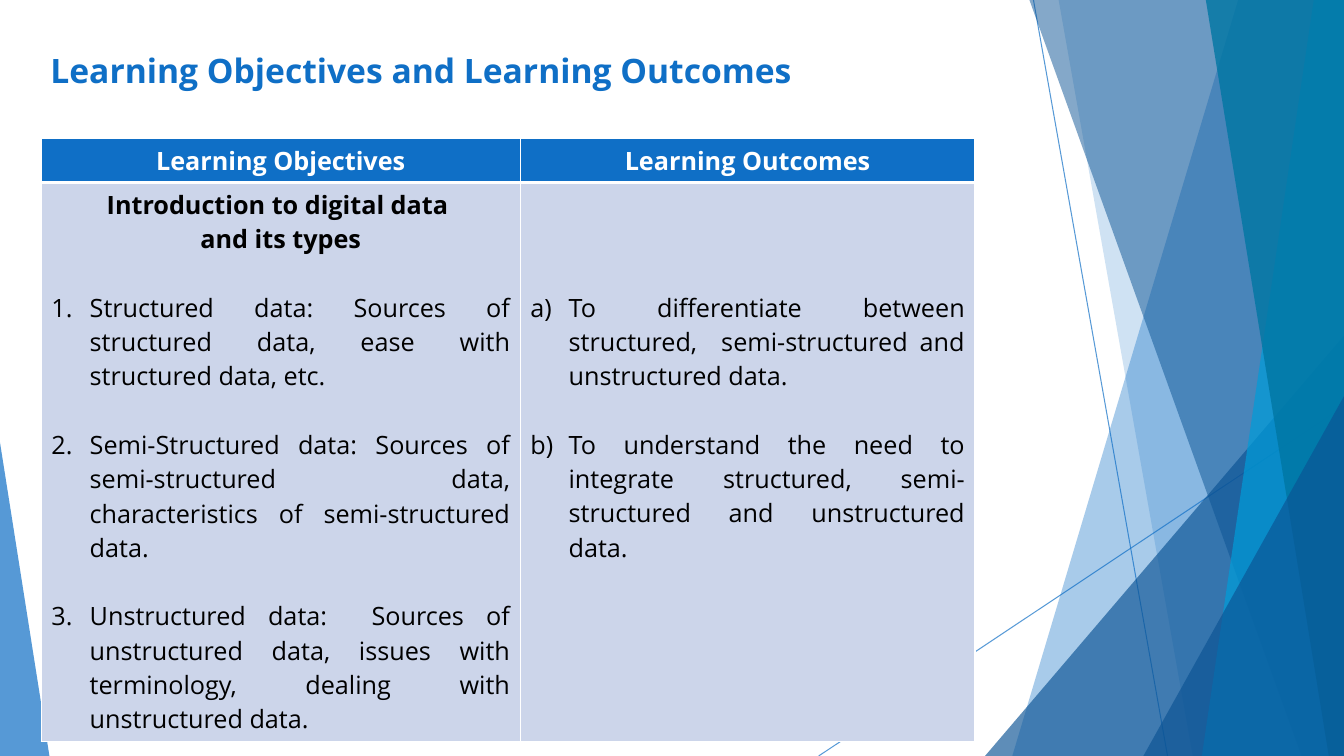
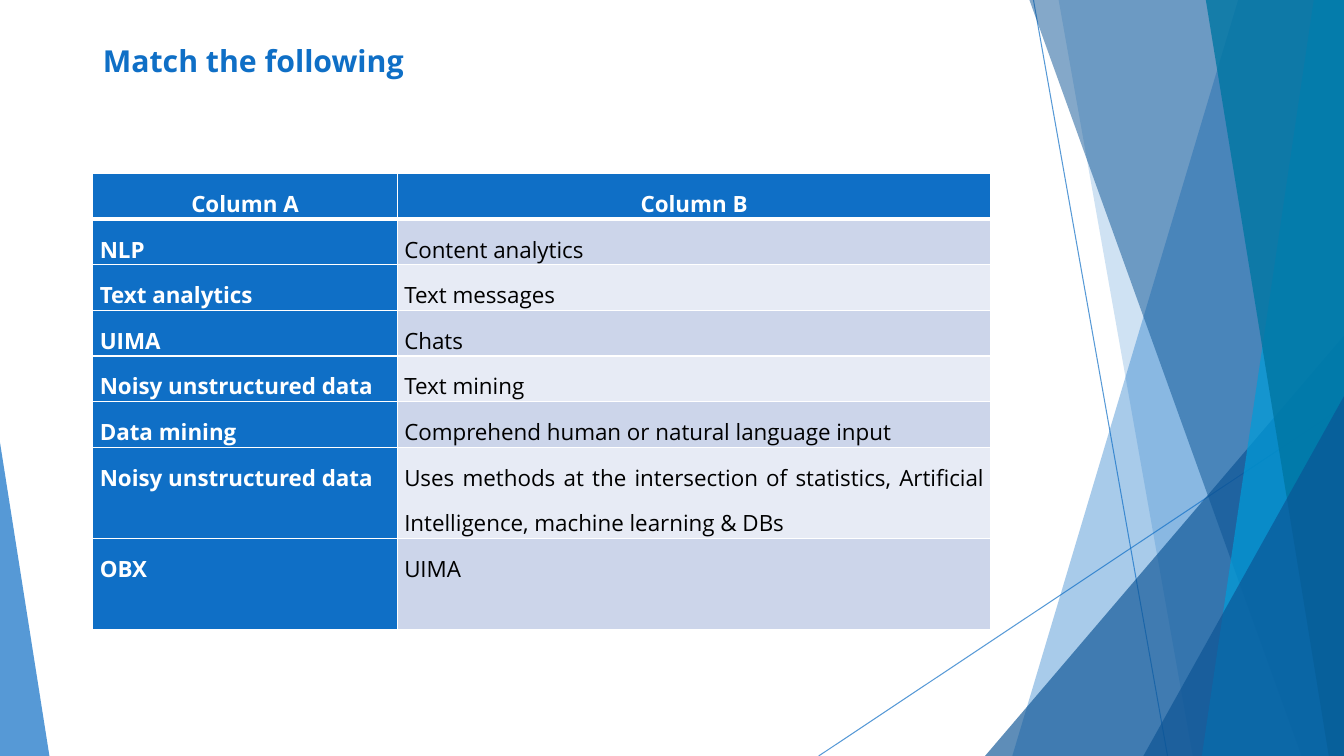
from lxml import etree
from pptx import Presentation
from pptx.dml.color import RGBColor
from pptx.enum.shapes import MSO_CONNECTOR, MSO_SHAPE
from pptx.enum.text import MSO_ANCHOR, MSO_AUTO_SIZE, PP_ALIGN
from pptx.oxml.ns import qn
from pptx.util import Inches, Pt

LEFT, CENTER, JUSTIFY = PP_ALIGN.LEFT, PP_ALIGN.CENTER, PP_ALIGN.JUSTIFY
TRIANGLE = MSO_SHAPE.ISOSCELES_TRIANGLE
STRAIGHT = MSO_CONNECTOR.STRAIGHT
MIDDLE = MSO_ANCHOR.MIDDLE
FONT = "Open Sans"
WIDTH, HEIGHT = 13.33, 7.5
COLOURS = {
    "blue": "0F6FC6", "navy": "0B5394", "sky": "009DD9", "teal": "0076A3",
    "band": "CCD5EA", "pale": "E7EBF5", "white": "FFFFFF", "black": "000000",
}


def write(para, text, size=18, colour="black", bold=False, align=JUSTIFY,
          spacing=None, before=0, number=None):
    para.alignment = align
    para.space_before = Pt(before)
    if spacing:
        para.line_spacing = spacing
    if number:
        settings = para._p.get_or_add_pPr()
        settings.set("marL", str(Inches(0.38)))
        settings.set("indent", str(-Inches(0.38)))
        etree.SubElement(settings, qn("a:buFont"), typeface="+mj-lt")
        etree.SubElement(settings, qn("a:buAutoNum"), type=number)
    span = para.add_run()
    span.text = text
    span.font.name = FONT
    span.font.size = Pt(size)
    span.font.bold = bold
    span.font.color.rgb = RGBColor.from_string(COLOURS[colour])


def tint(shape, fill, colour, opacity):
    fill.solid()
    fill.fore_color.rgb = RGBColor.from_string(COLOURS[colour])
    for tone in shape.element.iter(qn("a:srgbClr")):
        etree.SubElement(tone, qn("a:alpha"), val=str(opacity * 1000))


deck = Presentation()
deck.slide_width, deck.slide_height = Inches(WIDTH), Inches(HEIGHT)
layout = deck.slide_layouts[5]
for holder in list(layout.placeholders)[1:]:
    holder.element.getparent().remove(holder.element)
pages = [deck.slides.add_slide(layout) for _ in range(2)]

canvas = pages[0].shapes
backdrop = []
for ends in [(10.25, 0, 11.58, HEIGHT), (WIDTH, 4.03, 8.12, HEIGHT)]:
    ray = canvas.add_connector(STRAIGHT, *map(Inches, ends))
    ray.line.width = Pt(0.75)
    tint(ray, ray.line.fill, "blue", 70)
    etree.SubElement(ray.element.spPr, qn("a:effectLst"))
    backdrop.append(ray)

facets = [
    ("band", 12.28, 10.04, "blue", 36),
    ("band", 10.5, 11.83, "blue", 20),
    ("right peak", 3.56, 4.17, "navy", 66),
    ("band", 10.21, 12.91, "navy", 50),
    ("band", 13.03, 11.92, "sky", 70),
    ("band", 11.96, 13.18, "teal", 80),
    ("right peak", 1.99, 3.57, "navy", 66),
    ("left peak", 0.49, 3.11, "blue", 70),
]
for kind, first, second, colour, opacity in facets:
    if kind == "band":
        outline = canvas.build_freeform(Inches(first), 0)
        corners = [(WIDTH, 0), (WIDTH, HEIGHT), (second, HEIGHT)]
        outline.add_line_segments([(Inches(x), Inches(y)) for x, y in corners])
        facet = outline.convert_to_shape()
    else:
        on_right = kind == "right peak"
        left = WIDTH - first if on_right else 0
        facet = canvas.add_shape(TRIANGLE, Inches(left), Inches(HEIGHT - second),
                                 Inches(first), Inches(second))
        facet.adjustments[0] = 1 if on_right else 0
    tint(facet, facet.fill, colour, opacity)
    facet.line.fill.background()
    facet.shadow.inherit = False
    backdrop.append(facet)
for piece in backdrop:
    layout.shapes.element.append(piece.element)

heading = {"align": CENTER, "bold": True}
objective = {"number": "arabicPeriod", "before": 24.5}
outcome = {"number": "alphaLcParenR"}
objectives = [
    ("Introduction to digital data ", heading),
    ("and its types", heading),
    ("Structured data: Sources of structured data, ease with structured data, etc.",
     objective),
    ("Semi-Structured data: Sources of semi-structured data, characteristics of "
     "semi-structured data.", objective),
    ("Unstructured data:  Sources of unstructured data, issues with terminology, "
     "dealing with unstructured data.", objective),
]
outcomes = [
    ("To differentiate between structured,  semi-structured and unstructured data.",
     outcome),
    ("To understand the need to integrate structured, semi-structured and "
     "unstructured data.", {**outcome, "before": 24.5}),
]
pairs = [
    ("NLP", "Content analytics"),
    ("Text analytics", "Text messages"),
    ("UIMA", "Chats"),
    ("Noisy unstructured data", "Text mining"),
    ("Data mining", "Comprehend human or natural language input"),
    ("Noisy unstructured data", "Uses methods at the intersection of statistics, "
     "Artificial Intelligence, machine learning & DBs"),
    ("OBX", "UIMA"),
]
label = {"size": 16, "spacing": 1.5, "colour": "white", "bold": True}
answer = {"size": 16, "spacing": 1.5}
header = {"colour": "white", "bold": True, "align": CENTER}

topics = [
    {"title": "Learning Objectives and Learning Outcomes", "size": 24,
     "place": (0.4, 0.44, 11.5, 0.51), "corner": (0.41, 1.37),
     "columns": [4.75, 4.51], "rows": [0.43, 5.54], "margins": (0.1, 0.05),
     "labelled": False,
     "cells": [[[("Learning Objectives", header)], [("Learning Outcomes", header)]],
               [objectives, outcomes]]},
    {"title": "Match the following", "size": 21.6,
     "place": (0.92, 0.4, 11.5, 0.4), "corner": (0.92, 1.72),
     "columns": [3.02, 5.89], "rows": [0.45] * 6 + [0.9] * 2, "margins": (0.07, 0),
     "labelled": True,
     "cells": [[[(name, {**label, "align": CENTER})] for name in ("Column A", "Column B")]]
     + [[[(term, label)], [(match, answer)]] for term, match in pairs]},
]

for page, topic in zip(pages, topics):
    title = page.shapes.title
    title.left, title.top, title.width, title.height = map(Inches, topic["place"])
    title.text_frame.auto_size = MSO_AUTO_SIZE.NONE
    title.text_frame.vertical_anchor = MIDDLE
    write(title.text_frame.paragraphs[0], topic["title"], size=topic["size"],
          colour="blue", bold=True, align=LEFT)

    columns, rows = topic["columns"], topic["rows"]
    extent = (*topic["corner"], sum(columns), sum(rows))
    table = page.shapes.add_table(len(rows), len(columns), *map(Inches, extent)).table
    for column, width in zip(table.columns, columns):
        column.width = Inches(width)
    for row, height in zip(table.rows, rows):
        row.height = Inches(height)

    for row, contents in enumerate(topic["cells"]):
        for column, paragraphs in enumerate(contents):
            cell = table.cell(row, column)
            side, edge = map(Inches, topic["margins"])
            cell.margin_left = cell.margin_right = side
            cell.margin_top = cell.margin_bottom = edge
            if paragraphs is outcomes:
                cell.margin_top = Inches(1.07)
            for border in "LRTB":
                thick = (row, border) in [(0, "B"), (1, "T")]
                line = etree.SubElement(cell._tc.get_or_add_tcPr(), qn("a:ln" + border),
                                        w=str(Pt(3 if thick else 1)))
                ink = etree.SubElement(line, qn("a:solidFill"))
                etree.SubElement(ink, qn("a:srgbClr"), val=COLOURS["white"])
            if row == 0 or (topic["labelled"] and column == 0):
                shade = "blue"
            else:
                shade = "band" if row % 2 else "pale"
            cell.fill.solid()
            cell.fill.fore_color.rgb = RGBColor.from_string(COLOURS[shade])
            frame = cell.text_frame
            for index, (text, style) in enumerate(paragraphs):
                para = frame.add_paragraph() if index else frame.paragraphs[0]
                write(para, text, **style)

deck.save("out.pptx")
